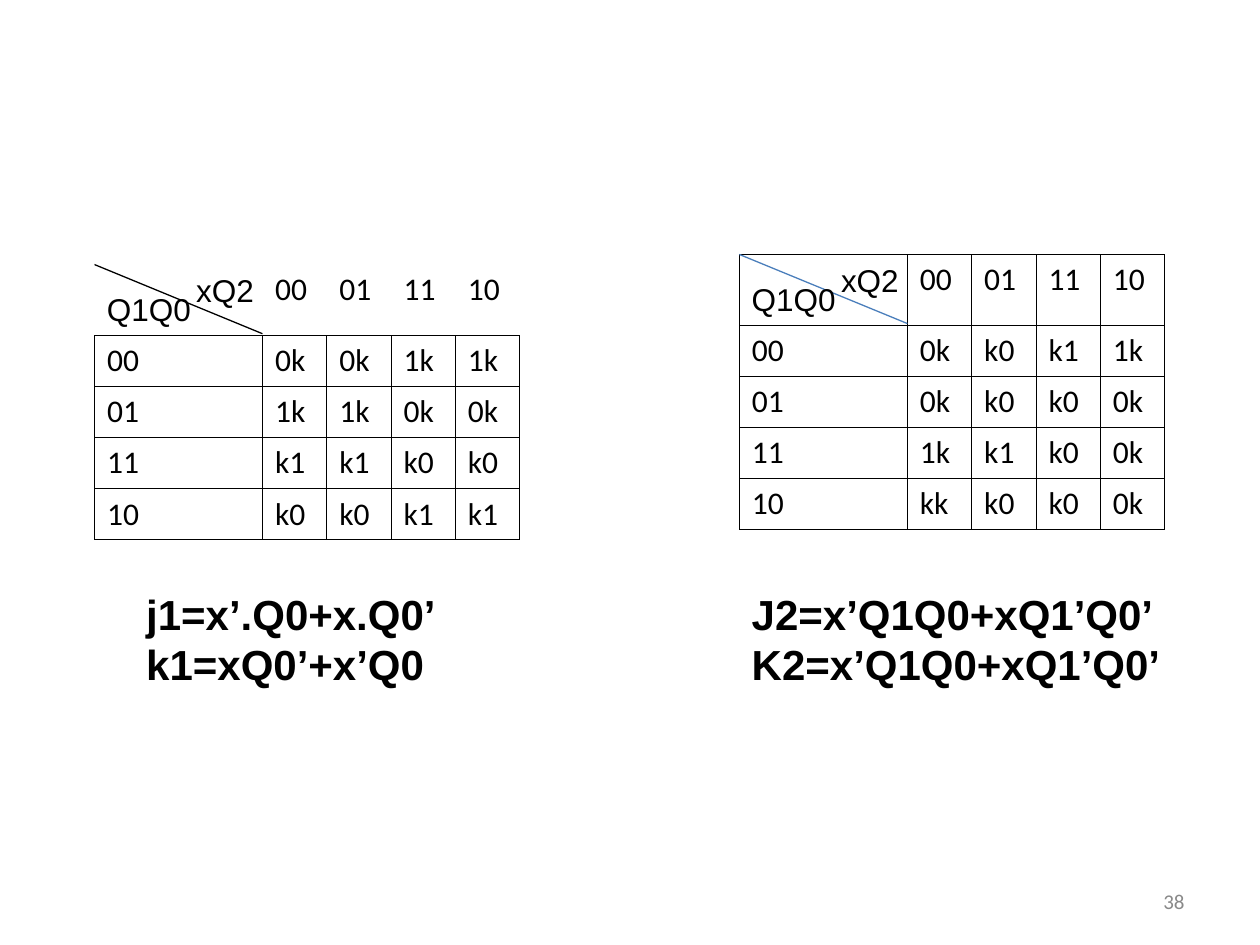
from lxml import etree
from pptx import Presentation
from pptx import util as u
from pptx.dml.color import RGBColor
from pptx.enum import shapes, text
from pptx.oxml import ns

Pt = u.Pt
HUES = {"ink": "000000", "blue": "4A7EBB", "gray": "898989"}


class Page:
    body, label = "Calibri", "Arial"

    def __init__(self, deck):
        self.slide = deck.slides.add_slide(deck.slide_layouts[6])
        self.items = self.slide.shapes

    def run(self, para, words, size=18, face=label, hue="ink", bold=False):
        run = para.add_run()
        run.text = words
        font = run.font
        font.size, font.name, font.bold = Pt(size), face, bold
        font.color.rgb = RGBColor.from_string(HUES[hue])

    def text(self, x, y, w, h, lines, wrap=True, grow=True, right=False, **look):
        frame = self.items.add_textbox(Pt(x), Pt(y), Pt(w), Pt(h)).text_frame
        frame.word_wrap = wrap
        if grow:
            frame.auto_size = text.MSO_AUTO_SIZE.SHAPE_TO_FIT_TEXT
        else:
            frame.vertical_anchor = text.MSO_ANCHOR.MIDDLE
        for i, words in enumerate(lines):
            para = frame.add_paragraph() if i else frame.paragraphs[0]
            para.alignment = text.PP_ALIGN.RIGHT if right else text.PP_ALIGN.LEFT
            self.run(para, words, **look)

    def line(self, x1, y1, x2, y2, hue):
        line = self.items.add_connector(
            shapes.MSO_CONNECTOR.STRAIGHT, Pt(x1), Pt(y1), Pt(x2), Pt(y2))
        line.line.width = Pt(0.74)
        line.line.color.rgb = RGBColor.from_string(HUES[hue])
        etree.SubElement(line._element.spPr, ns.qn("a:effectLst"))

    def edge(self, cell, sides):
        props = cell._tc.get_or_add_tcPr()
        for side in "LRTB":
            edge = etree.SubElement(props, ns.qn("a:ln" + side), w=str(Pt(0.45)))
            if side in sides:
                fill = etree.SubElement(edge, ns.qn("a:solidFill"))
                etree.SubElement(fill, ns.qn("a:srgbClr"), val=HUES["ink"])
            else:
                etree.SubElement(edge, ns.qn("a:noFill"))

    def table(self, x, y, rows, cols, highs, boxed):
        grid = self.items.add_table(
            len(rows), len(cols), Pt(x), Pt(y), Pt(sum(cols)), Pt(sum(highs))).table
        grid.first_row = grid.horz_banding = False
        for col, wide in zip(grid.columns, cols):
            col.width = Pt(wide)
        for r, row in enumerate(rows):
            grid.rows[r].height = Pt(highs[r])
            for c, words in enumerate(row):
                cell = grid.cell(r, c)
                self.edge(cell, "LRTB" if r or boxed else "B")
                cell.fill.background()
                if words:
                    self.run(cell.text_frame.paragraphs[0], words, face=self.body)

    def kmap(self, x, y, cells, hue, boxed):
        codes = ["00", "01", "11", "10"]
        rows = [[""] + codes]
        rows += [[code] + row.split() for code, row in zip(codes, cells)]
        cols, highs = [96] + [36.75] * 4, [40.5] + [29.2] * 4
        self.table(x, y, rows, cols, highs, boxed)
        # Split corner with the variable names
        self.line(x + cols[0], y + 39.5, x, y, hue)
        self.text(x + 51, y, 48.5, 29, ["xQ2"], wrap=False)
        self.text(x, y + 11.2, 64, 29, ["Q1Q0"], wrap=False)


deck = Presentation()
deck.slide_width, deck.slide_height = Pt(720), Pt(540)
page = Page(deck)

# Left map and its equations
page.kmap(54, 151.2, ["0k 0k 1k 1k", "1k 1k 0k 0k", "k1 k1 k0 k0", "k0 k0 k1 k1"],
          "ink", False)
page.text(76.5, 332.6, 204.5, 65, ["j1=x’.Q0+x.Q0’", "k1=xQ0’+x’Q0"],
          size=24, bold=True)

# Right map and its equations
page.kmap(422.5, 145.4, ["0k k0 k1 1k", "0k k0 k0 0k", "1k k1 k0 0k", "kk k0 k0 0k"],
          "blue", True)
page.text(422.5, 332.6, 255, 65, ["J2=x’Q1Q0+xQ1’Q0’", "K2=x’Q1Q0+xQ1’Q0’"],
          size=24, bold=True)

# Page number
page.text(516, 500.5, 168, 28.75, ["38"], grow=False, right=True,
          size=12, face=page.body, hue="gray")

deck.save("out.pptx")
